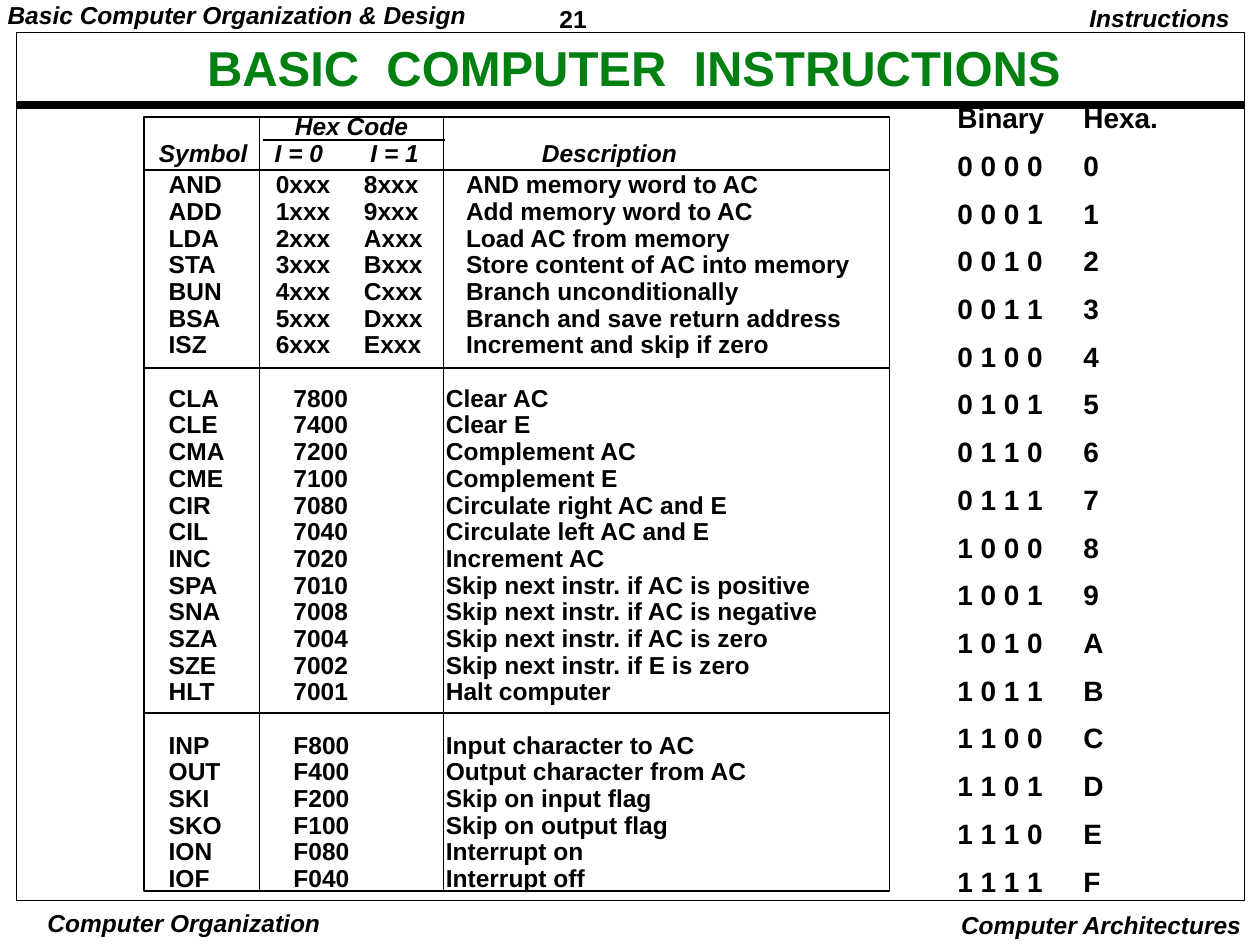
from lxml.etree import SubElement
from pptx import Presentation
from pptx.dml.color import RGBColor
from pptx.enum.shapes import MSO_CONNECTOR as Connector, MSO_SHAPE as Shape
from pptx.enum.text import PP_ALIGN as Align
from pptx.oxml.ns import qn
from pptx.util import Inches, Pt

COLORS = {"ink": "000000", "title": "008011"}
COLS, ROWS = 100, 75
CELL = 0.1  # inches per grid column and row

MEMORY = [
    ("AND", "0xxx", "8xxx", "AND memory word to AC"),
    ("ADD", "1xxx", "9xxx", "Add memory word to AC"),
    ("LDA", "2xxx", "Axxx", "Load AC from memory"),
    ("STA", "3xxx", "Bxxx", "Store content of AC into memory"),
    ("BUN", "4xxx", "Cxxx", "Branch unconditionally"),
    ("BSA", "5xxx", "Dxxx", "Branch and save return address"),
    ("ISZ", "6xxx", "Exxx", "Increment and skip if zero"),
]
REGISTER = [
    ("CLA", "7800", "Clear AC"),
    ("CLE", "7400", "Clear E"),
    ("CMA", "7200", "Complement AC"),
    ("CME", "7100", "Complement E"),
    ("CIR", "7080", "Circulate right AC and E"),
    ("CIL", "7040", "Circulate left AC and E"),
    ("INC", "7020", "Increment AC"),
    ("SPA", "7010", "Skip next instr. if AC is positive"),
    ("SNA", "7008", "Skip next instr. if AC is negative"),
    ("SZA", "7004", "Skip next instr. if AC is zero"),
    ("SZE", "7002", "Skip next instr. if E is zero"),
    ("HLT", "7001", "Halt computer"),
]
IN_OUT = [
    ("INP", "F800", "Input character to AC"),
    ("OUT", "F400", "Output character from AC"),
    ("SKI", "F200", "Skip on input flag"),
    ("SKO", "F100", "Skip on output flag"),
    ("ION", "F080", "Interrupt on"),
    ("IOF", "F040", "Interrupt off"),
]


def grid(n):
    return Inches(n * CELL)


def rgb(name):
    return RGBColor.from_string(COLORS[name])


def add_paragraph(tf, text, size=14, color="ink", italic=False, align=Align.LEFT,
                  spacing=0.9, before=0, tabs=()):
    """Fill the empty first paragraph of tf, or add one; tabs are in grid columns."""
    p = tf.paragraphs[0]
    if p.runs:
        p = tf.add_paragraph()
    p.alignment, p.line_spacing, p.space_before = align, spacing, Pt(before)
    if tabs:
        tab_list = SubElement(p._p.get_or_add_pPr(), qn("a:tabLst"))
        for pos in tabs:
            SubElement(tab_list, qn("a:tab"), pos=str(grid(pos)), algn="l")
    r = p.add_run()
    r.text = text
    r.font.name, r.font.size, r.font.bold, r.font.italic = "Arial", Pt(size), True, italic
    r.font.color.rgb = rgb(color)


def add_box(s, box, inset=(0.7, 0.3)):
    tf = s.shapes.add_textbox(*map(grid, box)).text_frame
    tf.word_wrap = True
    tf.margin_left = tf.margin_right = grid(inset[0])
    tf.margin_top = tf.margin_bottom = grid(inset[1])
    return tf


def add_text(s, box, text, inset=(0.7, 0.3), **fmt):
    add_paragraph(add_box(s, box, inset), text, **fmt)


def add_line(s, x1, y1, x2, y2, width):
    line = s.shapes.add_connector(Connector.STRAIGHT, *map(grid, (x1, y1, x2, y2)))
    line.line.color.rgb, line.line.width = rgb("ink"), Pt(width)
    SubElement(line._element.spPr, qn("a:effectLst"))


def add_frame(s, box, width):
    sp = s.shapes.add_shape(Shape.RECTANGLE, *map(grid, box))
    sp.shadow.inherit = False
    sp.fill.background()
    sp.line.color.rgb, sp.line.width = rgb("ink"), Pt(width)


def page_frame(s, box):
    x, y, w, h = box
    add_line(s, x, y + 5.7, x + w, y + 5.7, 4.5)
    add_frame(s, box, 0.5)
    add_text(s, (x + 14.4, y + 0.7, 69.2, 4.6), "BASIC  COMPUTER  INSTRUCTIONS",
             size=28, color="title", align=Align.CENTER, spacing=0.87)


def page_header(s, box):
    x, y, w, h = box
    add_text(s, (x - 0.1, y, 40, h), "Basic Computer Organization & Design", italic=True)
    add_text(s, (x + 43.7, y, 10.8, h), "21", spacing=1.01)
    add_text(s, (x + w - 17.4, y, 16, h), "Instructions", (1, 0.5),
             italic=True, align=Align.RIGHT)


def page_footer(s, box):
    x, y, w, h = box
    add_text(s, (x + 3, y + 0.3, 23.2, h), "Computer Organization", (0.3, 0.1),
             italic=True, align=Align.CENTER, spacing=1)
    add_text(s, (x + w - 30, y, 29.5, h), "Computer Architectures", (1, 0.5),
             italic=True, align=Align.RIGHT, spacing=1)


def instruction_list(s, box):
    x, y, w, h = box
    add_frame(s, box, 1)

    tf = add_box(s, (x + 0.5, y - 0.5, w - 1, 4.8))
    add_paragraph(tf, "\tHex Code", italic=True, tabs=[10.8])
    add_paragraph(tf, "Symbol\tI = 0\tI = 1\tDescription", italic=True, tabs=[9.2, 16.8, 30.4])

    tf = add_box(s, (x + 1, y + 4.1, w - 1, h - 4.1), (1, 0.5))
    for group, tabs in ((MEMORY, [8.5, 15.5, 23.6]), (REGISTER, [9.9, 22]), (IN_OUT, [9.9, 22])):
        for i, row in enumerate(group):
            gap = 17 if i == 0 and group is not MEMORY else 1.8
            add_paragraph(tf, "\t".join(row), spacing=0.8, before=gap, tabs=tabs)

    add_line(s, x + 9.5, y + 1.8, x + 23.9, y + 1.8, 1)
    for rule in (4.2, 19.9, 47.3):
        add_line(s, x, y + rule, x + w, y + rule, 1)
    for divider in (9.2, 23.8):
        add_line(s, x + divider, y, x + divider, y + h, 0.75)


def hex_digits(s, box):
    tf = add_box(s, box, (1, 0.5))
    rows = [("Binary", "Hexa.")] + [(" ".join(f"{n:04b}"), f"{n:X}") for n in range(16)]
    for row in rows:
        add_paragraph(tf, "\t".join(row), size=16, before=10, tabs=[10])


def main():
    prs = Presentation()
    prs.slide_width, prs.slide_height = grid(COLS), grid(ROWS)
    s = prs.slides.add_slide(prs.slide_layouts[6])
    page_header(s, (0, 0, COLS, 3))
    page_footer(s, (0, 71.7, COLS, 3))
    page_frame(s, (1.3, 2.6, 97.5, 68.9))
    instruction_list(s, (11.4, 9.3, 59.2, 61.4))
    hex_digits(s, (75, 7.8, 19.1, 67))
    prs.save("out.pptx")


if __name__ == "__main__":
    main()
